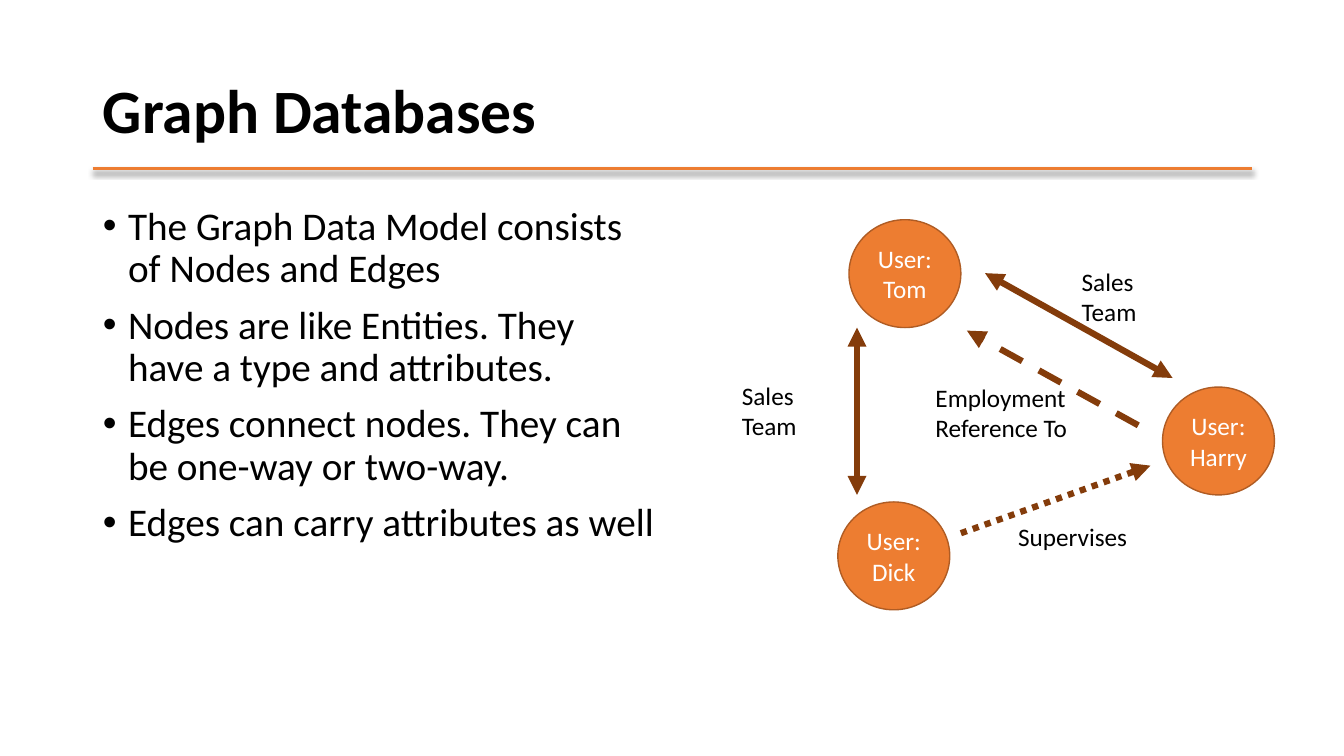
from dataclasses import dataclass

from lxml import etree
from pptx import Presentation
from pptx.dml.color import RGBColor
from pptx.enum.dml import MSO_LINE
from pptx.enum.shapes import MSO_CONNECTOR, MSO_SHAPE
from pptx.enum.text import MSO_ANCHOR, MSO_AUTO_SIZE, PP_ALIGN
from pptx.oxml import parse_xml
from pptx.oxml.ns import nsdecls, qn
from pptx.util import Inches, Pt

STRAIGHT = MSO_CONNECTOR.STRAIGHT
OVAL = MSO_SHAPE.OVAL
DASHED, DOTTED = MSO_LINE.DASH, MSO_LINE.ROUND_DOT
LEFT, CENTER = PP_ALIGN.LEFT, PP_ALIGN.CENTER
MIDDLE = MSO_ANCHOR.MIDDLE
NO_FIT, GROW = MSO_AUTO_SIZE.NONE, MSO_AUTO_SIZE.SHAPE_TO_FIT_TEXT


@dataclass(frozen=True)
class Theme:
    font: str = "Calibri"
    text: RGBColor = RGBColor(0x00, 0x00, 0x00)
    node_text: RGBColor = RGBColor(0xFF, 0xFF, 0xFF)
    accent: RGBColor = RGBColor(0xED, 0x7D, 0x31)
    node_outline: RGBColor = RGBColor(0xAF, 0x5C, 0x24)
    edge: RGBColor = RGBColor(0x84, 0x3C, 0x0B)
    title_size: Pt = Pt(44)
    body_size: Pt = Pt(28)
    label_size: Pt = Pt(18)


THEME = Theme()
NODE_WIDTH, NODE_HEIGHT = 1.11, 1.07

BULLETS = [
    "The Graph Data Model consists of Nodes and Edges",
    "Nodes are like Entities. They have a type and attributes.",
    "Edges connect nodes. They can be one-way or two-way.",
    "Edges can carry attributes as well",
]
# Node name, left, top
NODES = [("Tom", 8.42, 2.18), ("Dick", 8.31, 4.98), ("Harry", 11.53, 3.84)]
# Start, end, two-way, dash style
EDGES = [
    ((8.5, 3.25), (8.5, 4.91), True, None),
    ((9.77, 2.71), (11.63, 3.75), True, None),
    ((9.53, 5.29), (11.41, 4.62), False, DOTTED),
    ((11.29, 4.22), (9.59, 3.28), False, DASHED),
]
# Text (\v breaks a line, \n starts a paragraph), left, top, width, height
LABELS = [
    ("Sales\vTeam", 7.26, 3.72, 0.76, 0.71),
    ("Sales\vTeam", 10.63, 2.59, 0.75, 0.71),
    ("Supervises", 10, 5.12, 1.29, 0.4),
    ("Employment\nReference To", 9.18, 3.74, 1.52, 0.71),
]


def place(shape, left, top, width, height):
    shape.left, shape.top = Inches(left), Inches(top)
    shape.width, shape.height = Inches(width), Inches(height)


def write(shape, text, size, color, align=LEFT, bold=False):
    """Fill a shape with evenly formatted text and return its paragraphs."""
    shape.text_frame.text = text
    for paragraph in shape.text_frame.paragraphs:
        paragraph.alignment = align
        font = paragraph.font
        font.name, font.size, font.bold = THEME.font, size, bold
        font.color.rgb = color
    return shape.text_frame.paragraphs


def add_line(slide, start, end, color, width):
    line = slide.shapes.add_connector(STRAIGHT, *map(Inches, start + end))
    line.line.color.rgb = color
    line.line.width = width
    effects = etree.SubElement(line._element.spPr, qn("a:effectLst"))
    return line, effects


def add_title_rule(slide):
    _, effects = add_line(slide, (0.92, 1.67), (12.42, 1.67), THEME.accent, Pt(2.25))
    effects.append(parse_xml(
        f'<a:outerShdw {nsdecls("a")} blurRad="{Pt(4)}" dist="{Pt(3)}" dir="5400000" '
        'rotWithShape="0"><a:srgbClr val="000000"><a:alpha val="40000"/></a:srgbClr>'
        '</a:outerShdw>'))


def fill_title(slide):
    title = slide.shapes.title
    place(title, 0.92, 0.4, 11.5, 1.45)
    title.text_frame.vertical_anchor = MIDDLE
    title.text_frame.auto_size = NO_FIT
    paragraphs = write(title, "Graph Databases", THEME.title_size, THEME.text, bold=True)
    paragraphs[0].line_spacing = 0.9


def fill_bullets(slide):
    body = slide.placeholders[1]
    place(body, 0.92, 2, 5.67, 4.76)
    body.text_frame.auto_size = NO_FIT
    for paragraph in write(body, "\n".join(BULLETS), THEME.body_size, THEME.text):
        paragraph.line_spacing = 0.9
        paragraph.space_before = Pt(10)
        properties = paragraph._p.get_or_add_pPr()
        properties.set("marL", str(Inches(0.25)))
        properties.set("indent", str(Inches(-0.25)))
        etree.SubElement(properties, qn("a:buChar")).set("char", "•")
        # Bullets must precede default run properties
        properties.append(properties.find(qn("a:defRPr")))


def add_node(slide, name, left, top):
    node = slide.shapes.add_shape(
        OVAL, *map(Inches, (left, top, NODE_WIDTH, NODE_HEIGHT)))
    node.shadow.inherit = False
    node.fill.solid()
    node.fill.fore_color.rgb = THEME.accent
    node.line.color.rgb = THEME.node_outline
    node.line.width = Pt(1)
    node.text_frame.vertical_anchor = MIDDLE
    write(node, f"User:\v{name}", THEME.label_size, THEME.node_text, CENTER)


def add_edge(slide, start, end, two_way, dash):
    edge, _ = add_line(slide, start, end, THEME.edge, Pt(4.5))
    if dash is not None:
        edge.line.dash_style = dash
    outline = edge.line._get_or_add_ln()
    for tag in ("a:headEnd", "a:tailEnd") if two_way else ("a:tailEnd",):
        etree.SubElement(outline, qn(tag)).set("type", "triangle")


def add_label(slide, text, left, top, width, height):
    label = slide.shapes.add_textbox(*map(Inches, (left, top, width, height)))
    label.text_frame.word_wrap = False
    label.text_frame.auto_size = GROW
    write(label, text, THEME.label_size, THEME.text)


def main():
    presentation = Presentation()
    presentation.slide_width = Inches(13.33)
    presentation.slide_height = Inches(7.5)
    slide = presentation.slides.add_slide(presentation.slide_layouts[1])

    # Heading and list
    add_title_rule(slide)
    fill_title(slide)
    fill_bullets(slide)

    # Graph of users
    for node in NODES:
        add_node(slide, *node)
    for edge in EDGES:
        add_edge(slide, *edge)
    for label in LABELS:
        add_label(slide, *label)

    presentation.save("out.pptx")


if __name__ == "__main__":
    main()
